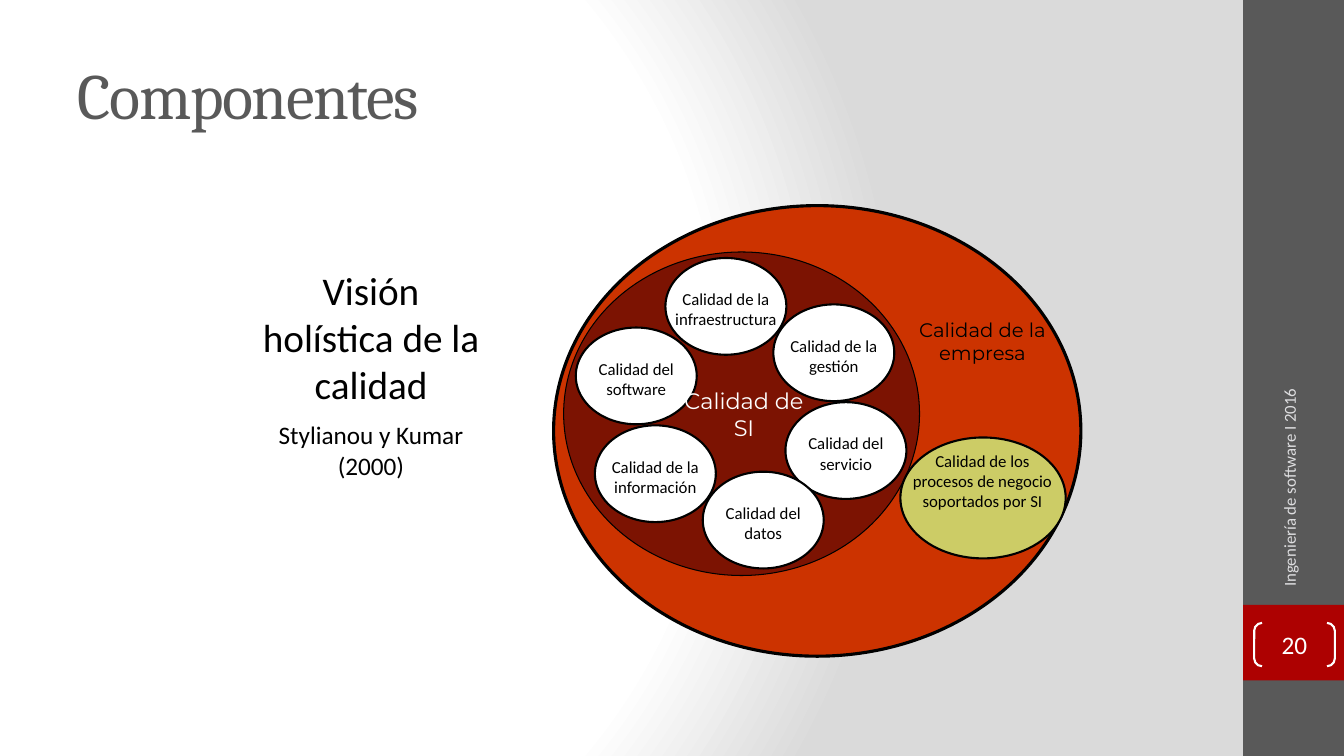
from dataclasses import dataclass

from pptx import Presentation
from pptx.dml.color import RGBColor
from pptx.enum.shapes import MSO_SHAPE as Kind
from pptx.enum.text import MSO_ANCHOR as Anchor, PP_ALIGN as Align
from pptx.oxml import parse_xml
from pptx.oxml.ns import nsdecls
from pptx.util import Inches, Pt

WIDE, HIGH = Inches(13.33), Inches(7.5)
BLACK, WHITE, GRAY = "000000", "FFFFFF", "595959"
TIGHT = (0.05, 0.02)
LOOSE = (0.1, 0.05)


@dataclass(frozen=True)
class Box:
    """A place on the slide, in percent of its width and height."""
    x: float
    y: float
    w: float
    h: float

    def place(self) -> dict:
        """Return the place as shape attributes."""
        return {
            "left": round(WIDE * self.x / 100),
            "top": round(HIGH * self.y / 100),
            "width": round(WIDE * self.w / 100),
            "height": round(HIGH * self.h / 100),
        }


@dataclass(frozen=True)
class Form:
    """A filled preset shape."""
    box: Box
    fill: str | None
    line: float = 0
    kind: Kind = Kind.OVAL
    edge: str = BLACK


@dataclass(frozen=True)
class Line:
    """A paragraph with its format."""
    text: str
    size: float = 12
    font: str = "Calibri"
    color: str = BLACK
    align: Align = Align.CENTER
    before: float = 0
    after: float = 0


@dataclass(frozen=True)
class Label:
    """A text box with its paragraphs."""
    box: Box
    lines: tuple[Line, ...]
    inset: tuple[float, float] = TIGHT
    anchor: Anchor = Anchor.TOP
    turn: float = 0


def paint(code: str) -> RGBColor:
    """Turn a hex string into a colour."""
    return RGBColor.from_string(code)


def apply(item, values: dict) -> None:
    """Set each named value on an item."""
    for name, value in values.items():
        setattr(item, name, value)


def write(frame, lines: tuple[Line, ...], inset=LOOSE, anchor=Anchor.TOP) -> None:
    """Fill a text frame with formatted paragraphs."""
    side, top = map(Inches, inset)
    apply(frame, {
        "word_wrap": True, "vertical_anchor": anchor,
        "margin_left": side, "margin_right": side,
        "margin_top": top, "margin_bottom": top,
    })
    for at, line in enumerate(lines):
        para = frame.add_paragraph() if at else frame.paragraphs[0]
        apply(para, {
            "alignment": line.align,
            "space_before": Pt(line.before),
            "space_after": Pt(line.after),
        })
        run = para.add_run()
        run.text = line.text
        apply(run.font, {"size": Pt(line.size), "name": line.font})
        run.font.color.rgb = paint(line.color)


def draw(slide, form: Form):
    """Draw one preset shape."""
    shape = slide.shapes.add_shape(form.kind, **form.box.place())
    shape.shadow.inherit = False
    if form.fill:
        shape.fill.solid()
        shape.fill.fore_color.rgb = paint(form.fill)
    else:
        shape.fill.background()
    if form.line:
        shape.line.color.rgb = paint(form.edge)
        shape.line.width = Pt(form.line)
    else:
        shape.line.fill.background()
    return shape


def label(slide, item: Label) -> None:
    """Draw one text box."""
    box = slide.shapes.add_textbox(**item.box.place())
    box.rotation = item.turn
    write(box.text_frame, item.lines, item.inset, item.anchor)


def shade(slide) -> None:
    """Give the slide its round gradient background."""
    stops = "".join(
        f'<a:gs pos="{pos}000"><a:srgbClr val="{code}"/></a:gs>'
        for pos, code in ((0, WHITE), (75, WHITE), (100, "DADADA"))
    )
    back = parse_xml(
        f'<p:bg {nsdecls("p", "a")}><p:bgPr><a:gradFill rotWithShape="1">'
        f'<a:gsLst>{stops}</a:gsLst><a:path path="circle">'
        '<a:fillToRect l="20000" t="50000" r="100000" b="50000"/></a:path>'
        '</a:gradFill><a:effectLst/></p:bgPr></p:bg>'
    )
    slide.element.cSld.insert(0, back)


BARS = (
    Form(Box(92.5, 0, 7.5, 100), GRAY, kind=Kind.RECTANGLE),
    Form(Box(92.5, 80, 7.5, 10), "AD0101", kind=Kind.RECTANGLE),
)
RINGS = (
    Form(Box(41.19, 27.2, 39.23, 59.6), "CC3300", 2.25),
    Form(Box(41.94, 33.33, 26.48, 42.8), "7C1302", 0.75),
    Form(Box(66.99, 57.87, 12.3, 16), "CCCC66", 1.5),
)
PARTS = (
    ("Calidad de la infraestructura", 49.51, 34.13),
    ("Calidad de la gestión", 57.54, 40.27),
    ("Calidad del servicio", 58.44, 53.2),
    ("Calidad del software", 42.84, 43.33),
    ("Calidad de la información", 44.26, 56.27),
    ("Calidad del datos", 52.29, 62.4),
)
LABELS = (
    Label(Box(18.08, 34.53, 19.05, 30.27), (
        Line("Visión holística de la calidad", 28),
        Line("Stylianou y Kumar (2000)", 18, before=9),
    ), LOOSE),
    Label(Box(67.44, 59.33, 11.33, 11.87), (
        Line("Calidad de los procesos de negocio soportados por SI", after=10),
    )),
    Label(Box(67.89, 41.73, 10.43, 11.87), (
        Line("Calidad de la empresa", 14, "Montserrat", after=10),
    )),
    Label(Box(50.41, 50.93, 9.9, 7.07), (
        Line("Calidad de SI", 16, "Montserrat", WHITE, after=10),
    )),
    Label(Box(86.2, 58.13, 19.43, 7.07), (
        Line("Ingeniería de software I 2016", color="DEDEE0", align=Align.LEFT),
    ), LOOSE, Anchor.MIDDLE, 270),
)


def main() -> None:
    """Build the slide and save it."""
    deck = Presentation()
    apply(deck, {"slide_width": WIDE, "slide_height": HIGH})
    slide = deck.slides.add_slide(deck.slide_layouts[5])
    shade(slide)
    title = slide.shapes.title
    apply(title, Box(5.03, 4, 83.35, 16.67).place())
    head = Line("Componentes", 46, "Cambria", GRAY, Align.LEFT)
    write(title.text_frame, (head,), anchor=Anchor.MIDDLE)
    title.text_frame.paragraphs[0].runs[0].font._element.set("spc", "-100")

    discs = tuple(Form(Box(x, y, 9, 12.8), WHITE, 1.5) for _, x, y in PARTS)
    for form in BARS + RINGS + discs:
        draw(slide, form)
    names = tuple(
        Label(Box(x, y + 3.83, 9, 5.87), (Line(text, after=10),))
        for text, x, y in PARTS
    )
    for item in names + LABELS:
        label(slide, item)

    page = draw(slide, Form(Box(93.32, 82.4, 6, 5.73), None, 1.5,
                            Kind.DOUBLE_BRACKET, WHITE))
    page.adjustments[0] = 0.18
    write(page.text_frame, (Line("20", 18, color=WHITE),), (0, 0), Anchor.MIDDLE)
    deck.save("out.pptx")


if __name__ == "__main__":
    main()
